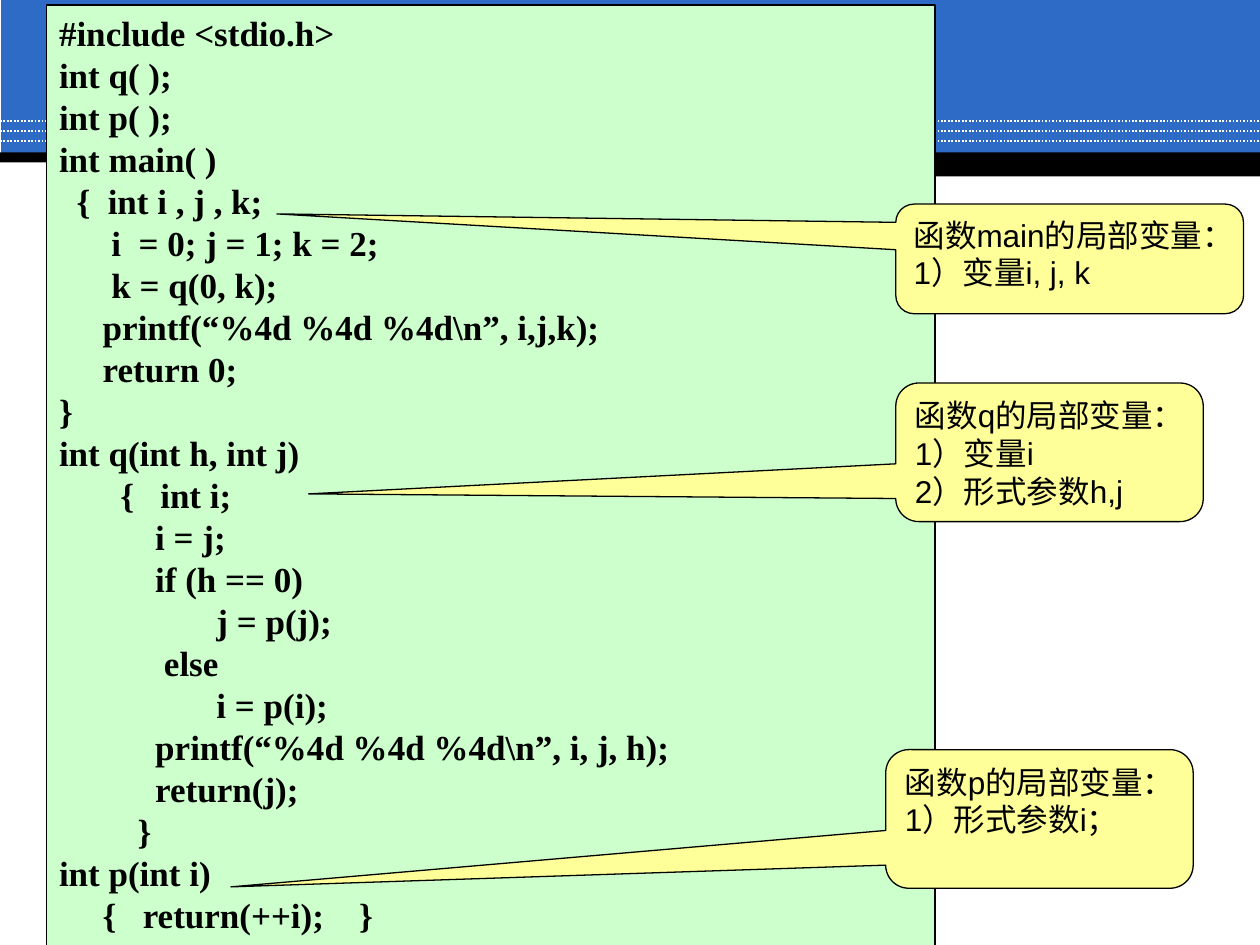
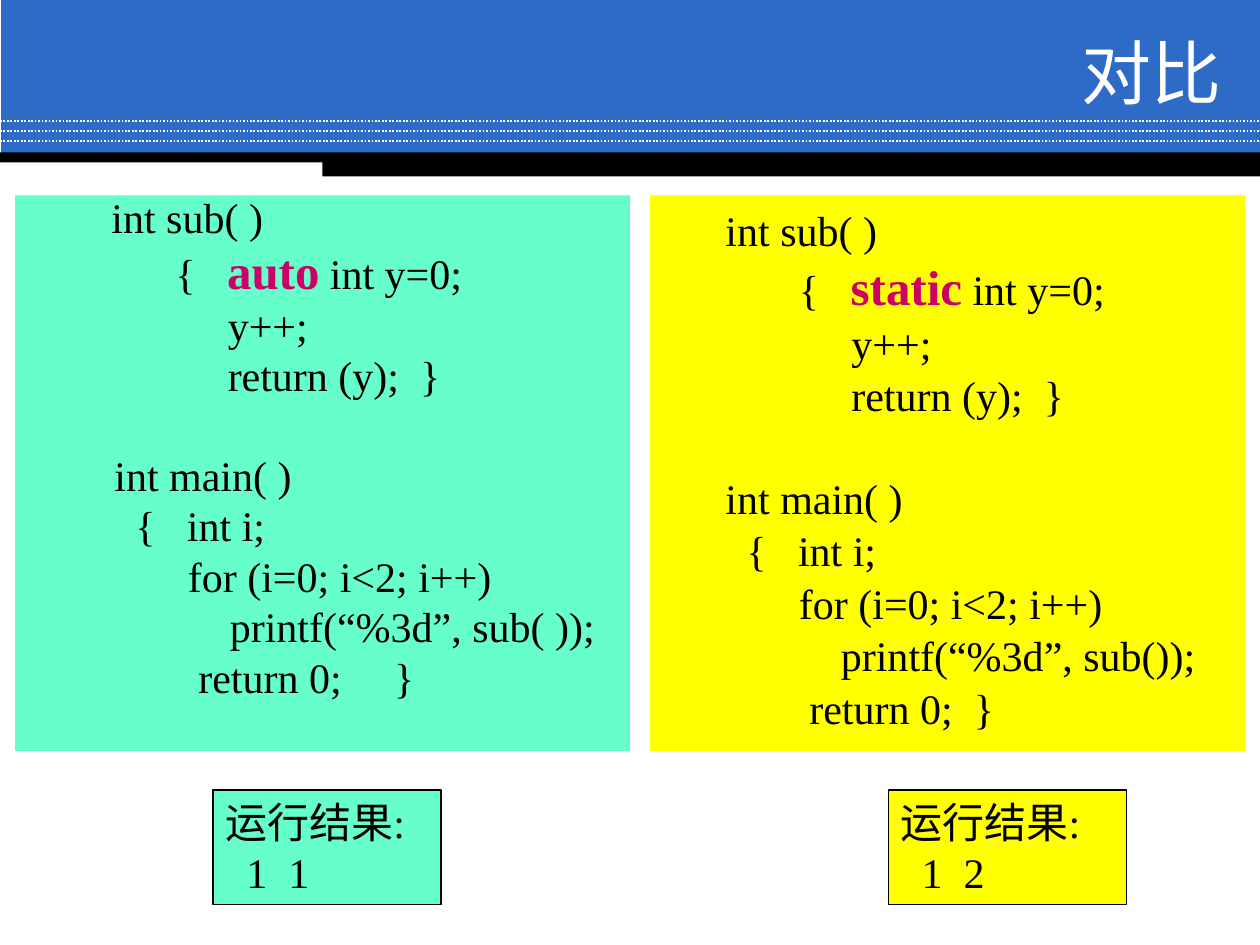
import pptx
import pptx.dml.color
import pptx.enum.dml
import pptx.enum.shapes
import pptx.enum.text
import pptx.util
from lxml import etree
from pptx.util import Inches

COLORS = {
    "band": "2D6BC7", "black": "000000", "white": "FFFFFF", "keyword": "CC0066",
    "program": "CCFFCC", "callout": "FFFF99", "auto": "66FFCC", "static": "FFFF00",
}
CODE_FONT, LABEL_FONT = "Times New Roman", "Arial"
SHAPE = pptx.enum.shapes.MSO_SHAPE
ALIGN = pptx.enum.text.PP_ALIGN
ANCHOR = pptx.enum.text.MSO_ANCHOR


def rgb(name):
    return pptx.dml.color.RGBColor.from_string(COLORS[name])


def add_box(slide, at, fill, text="", size=24, font=CODE_FONT, line=None, kind=SHAPE.RECTANGLE):
    box = slide.shapes.add_shape(kind, *[Inches(v) for v in at])
    box.shadow.inherit = False
    box.fill.solid()
    box.fill.fore_color.rgb = rgb(fill)
    if line:
        box.line.color.rgb = rgb("black")
        box.line.width = pptx.util.Pt(line)
    else:
        box.line.fill.background()
    frame = box.text_frame
    frame.word_wrap = True
    frame.vertical_anchor = ANCHOR.TOP
    frame.text = text
    for paragraph in frame.paragraphs:
        paragraph.alignment = ALIGN.LEFT
        paragraph.font.size = pptx.util.Pt(size)
        paragraph.font.name = font
        paragraph.font.color.rgb = rgb("black")
    return box


deck = pptx.Presentation()
deck.slide_width, deck.slide_height = Inches(10), Inches(7.5)
scope_slide, compare_slide = [deck.slides.add_slide(deck.slide_layouts[6]) for _ in range(2)]

# Header band on both slides
for slide in (scope_slide, compare_slide):
    add_box(slide, (0.01, 0, 9.99, 1.23), "band")
    for y in (0.96, 1.04, 1.12):
        dots = slide.shapes.add_connector(
            pptx.enum.shapes.MSO_CONNECTOR.STRAIGHT, 0, Inches(y), Inches(10), Inches(y))
        dots.line.color.rgb = rgb("white")
        dots.line.width = pptx.util.Pt(1)
        dots.line.dash_style = pptx.enum.dml.MSO_LINE.ROUND_DOT
        etree.SubElement(dots._element.spPr, pptx.oxml.ns.qn("a:effectLst"))
    add_box(slide, (0, 1.21, 10, 0.08), "black")
    add_box(slide, (2.56, 1.24, 7.44, 0.16), "black")

# Slide 1: program listing
PROGRAM = r"""#include <stdio.h>
int q( );
int p( );
int main( )
  {  int i , j , k;
      i  = 0; j = 1; k = 2;
      k = q(0, k);
     printf(“%4d %4d %4d\n”, i,j,k);
     return 0;
}
int q(int h, int j)
       {   int i;
           i = j;
           if (h == 0)
                  j = p(j);
            else
                  i = p(i);
           printf(“%4d %4d %4d\n”, i, j, h);
           return(j);
         }
int p(int i)
     {   return(++i);    }"""
program = add_box(scope_slide, (0.37, 0.04, 7.05, 7.51), "program", PROGRAM, size=20, line=1)
for paragraph in program.text_frame.paragraphs:
    paragraph.font.bold = True

# Slide 1: callouts, each with its pointer tip relative to the centre
scope_notes = [
    ((7.11, 3.04, 2.44, 1.1), (-2.41, 0.3), "函数q的局部变量：\n1）变量i\n2）形式参数h,j"),
    ((7.11, 1.62, 2.76, 0.87), (-2.28, -0.41), "函数main的局部变量：\n1）变量i, j, k"),
    ((7.03, 5.95, 2.44, 1.1), (-2.63, 0.49), "函数p的局部变量：\n1）形式参数i；"),
]
for at, tip, text in scope_notes:
    note = add_box(scope_slide, at, "callout", text, size=18, font=LABEL_FONT, line=0.75,
                   kind=SHAPE.ROUNDED_RECTANGULAR_CALLOUT)
    note.adjustments[0], note.adjustments[1] = tip

# Slide 2: title
title = compare_slide.shapes.add_textbox(Inches(2.87), Inches(0.28), Inches(6.92), Inches(0.58))
title.text_frame.word_wrap = True
title.text_frame.vertical_anchor = ANCHOR.MIDDLE
title.text_frame.text = "对比"
heading = title.text_frame.paragraphs[0]
heading.alignment = ALIGN.RIGHT
heading.font.size = pptx.util.Pt(40)
heading.font.name = LABEL_FONT
heading.font.color.rgb = rgb("white")

# Slide 2: the two listings and their results
AUTO_CODE = """        int sub( )
       {   auto int y=0;
            y++;
            return (y);  }
      int main( )
        {   int i;
             for (i=0; i<2; i++)
                 printf(“%3d”, sub( ));
              return 0;     }"""
STATIC_CODE = """      int sub( )
       {   static int y=0;
            y++;
            return (y);  }
      int main( )
        {   int i;
             for (i=0; i<2; i++)
                 printf(“%3d”, sub());
              return 0;  }"""
MAIN_LINE = 4
# keyword, code, box, top inset, left edges of sub and main, spacing, gap, gap before main, result, its box
versions = [
    ("static", STATIC_CODE, (5.16, 1.55, 4.72, 4.41), 0.07, 0.5, 0, 1, 1.15, 29.9,
     "运行结果:\n  1  2", (7.05, 6.27, 1.89, 0.91)),
    ("auto", AUTO_CODE, (0.12, 1.55, 4.88, 4.41), 0.05, 0.59, 0.19, 0.8, 5.8, 33.6,
     "运行结果:\n  1  1", (1.69, 6.27, 1.81, 0.91)),
]
for (keyword, code, at, inset, sub_left, main_left, spacing, gap, main_gap,
     result, result_at) in versions:
    listing = add_box(compare_slide, at, keyword, code)
    listing.text_frame.margin_top = Inches(inset)
    for number, paragraph in enumerate(listing.text_frame.paragraphs):
        paragraph.line_spacing = spacing
        if number:
            left = main_left if number >= MAIN_LINE else sub_left
            paragraph._p.get_or_add_pPr().set("marL", str(Inches(left)))
            paragraph.space_before = pptx.util.Pt(main_gap if number == MAIN_LINE else gap)
        before, found, after = paragraph.text.partition(keyword)
        if found:
            paragraph.text = before
            word, rest = paragraph.add_run(), paragraph.add_run()
            word.text, rest.text = found, after
            word.font.size = pptx.util.Pt(28)
            word.font.bold = True
            word.font.color.rgb = rgb("keyword")
        # Direct run formatting keeps every code run in the listing font
        for run in paragraph.runs:
            run.font.name = CODE_FONT
    add_box(compare_slide, result_at, keyword, result, line=0.75)

deck.save("out.pptx")
